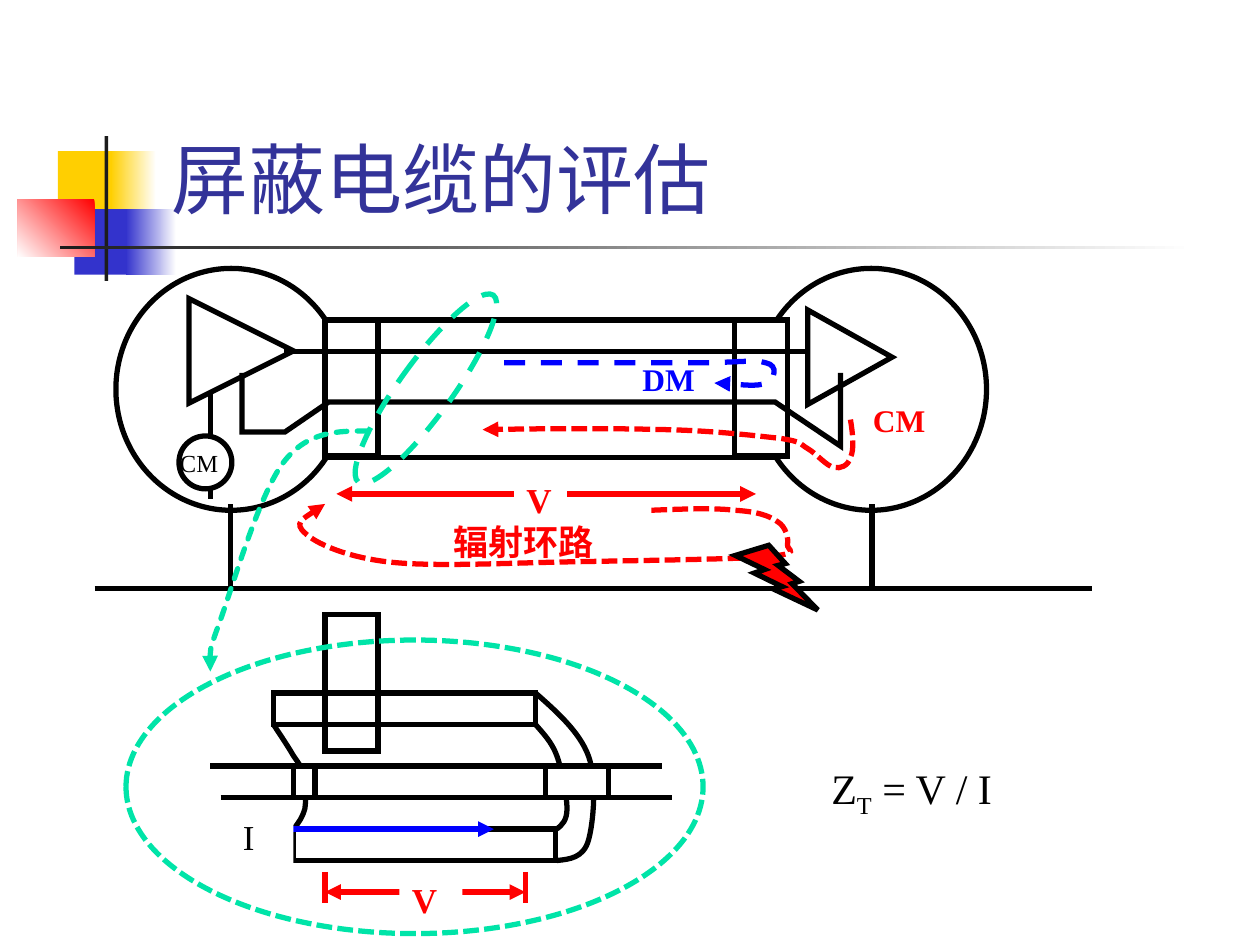
from lxml.etree import SubElement
from pptx import Presentation
from pptx.dml.color import RGBColor
from pptx.enum.dml import MSO_LINE
from pptx.enum.shapes import MSO_CONNECTOR, MSO_SHAPE
from pptx.enum.text import MSO_ANCHOR, MSO_AUTO_SIZE, PP_ALIGN
from pptx.oxml.ns import qn
from pptx.util import Inches, Pt

BLACK, WHITE, RED, BLUE, GREEN = "000000", "FFFFFF", "FF0000", "0000FF", "00E4A8"
YELLOW, NAVY, DARK = "FFCF01", "3333CC", "1C1C1C"
DASH, DOT = MSO_LINE.DASH, MSO_LINE.SQUARE_DOT
RECT, OVAL = MSO_SHAPE.RECTANGLE, MSO_SHAPE.OVAL


def rgb(code):
    return RGBColor.from_string(code)


def stroke(item, color, dash=None, ends=(), cap=None):
    """Draw a 3 pt mitred line; ends may hold "head" and "tail"."""
    line = item.line
    line.color.rgb = rgb(color)
    line.width = Pt(3)
    if dash:
        line.dash_style = dash
    ln = line._get_or_add_ln()
    if cap:
        ln.set("cap", cap)
    SubElement(ln, qn("a:miter"), lim="800000")
    for end in ends:
        SubElement(ln, qn(f"a:{end}End"), type="triangle")


def shape(slide, kind, box, fill=None, line=BLACK, dash=None, turn=0):
    item = slide.shapes.add_shape(kind, *map(Inches, box))
    item.shadow.inherit = False
    item.rotation = turn
    if fill:
        item.fill.solid()
        item.fill.fore_color.rgb = rgb(fill)
    else:
        item.fill.background()
    if line:
        stroke(item, line, dash)
    else:
        item.line.fill.background()
    return item


def fade(slide, box, first, last, angle):
    item = shape(slide, RECT, box, WHITE, None)
    item.fill.gradient()
    item.fill.gradient_angle = angle
    for stop, color in zip(item.fill.gradient_stops, (first, last)):
        stop.color.rgb = rgb(color)


def wire(slide, x1, y1, x2, y2, color=BLACK, ends=()):
    item = slide.shapes.add_connector(
        MSO_CONNECTOR.STRAIGHT, *map(Inches, (x1, y1, x2, y2)))
    stroke(item, color, ends=ends)
    SubElement(item._element.spPr, qn("a:effectLst"))


def path(slide, points, color=BLACK, dash=None, ends=(), curved=True, cap=None):
    """Draw an open path; if curved, each three points after the first form a Bezier."""
    start, *rest = [(Inches(x), Inches(y)) for x, y in points]
    draft = slide.shapes.build_freeform(*start)
    draft.add_line_segments(rest, close=False)
    item = draft.convert_to_shape()
    item.shadow.inherit = False
    item.fill.background()
    stroke(item, color, dash, ends, cap)
    if curved:
        route = item._element.find(".//" + qn("a:path"))
        steps = route.findall(qn("a:lnTo"))
        for i in range(0, len(steps), 3):
            curve = SubElement(route, qn("a:cubicBezTo"))
            for step in steps[i:i + 3]:
                curve.append(step[0])
                route.remove(step)


def label(slide, box, text, size, color=BLACK, bold=False, fill=None):
    item = slide.shapes.add_textbox(*map(Inches, box))
    if fill:
        item.fill.solid()
        item.fill.fore_color.rgb = rgb(fill)
    item.text_frame.word_wrap = True
    para = item.text_frame.paragraphs[0]
    para.text = text
    font = para.font
    font.name, font.size, font.bold = "Times New Roman", Pt(size), bold
    font.color.rgb = rgb(color)
    return para


def decor(slide):
    shape(slide, RECT, (0.46, 1.2, 0.48, 0.52), YELLOW, None)
    fade(slide, (0.88, 1.2, 0.36, 0.52), WHITE, YELLOW, 180)
    shape(slide, RECT, (0.59, 1.66, 0.46, 0.52), NAVY, None)
    fade(slide, (1, 1.66, 0.4, 0.52), WHITE, NAVY, 180)
    fade(slide, (0.14, 1.58, 0.61, 0.46), RED, WHITE, 225)
    shape(slide, RECT, (0.83, 1.08, 0.03, 1.15), DARK, None)
    fade(slide, (0.48, 1.95, 9, 0.03), WHITE, DARK, 180)


def heading(slide, text):
    title = slide.shapes.title
    title.left, title.top, title.width, title.height = map(
        Inches, (1.26, 0.58, 8.52, 1.25))
    frame = title.text_frame
    frame.text = text
    frame.auto_size = MSO_AUTO_SIZE.NONE
    frame.vertical_anchor = MSO_ANCHOR.BOTTOM
    para = frame.paragraphs[0]
    para.alignment = PP_ALIGN.LEFT
    para.font.name, para.font.size = "Cabin", Pt(44)
    para.font.color.rgb = rgb("333399")
    slide.shapes._spTree.append(title._element)  # in front of the decoration


def cable(slide):
    shape(slide, OVAL, (0.92, 2.13, 1.83, 1.92))
    shape(slide, MSO_SHAPE.ISOSCELES_TRIANGLE, (1.5, 2.37, 0.83, 0.83), turn=90)
    shape(slide, MSO_SHAPE.ISOSCELES_TRIANGLE, (6.37, 2.5, 0.75, 0.67), turn=90)
    shape(slide, RECT, (2.58, 2.54, 0.42, 1.08), WHITE)
    shape(slide, OVAL, (6, 2.13, 1.83, 1.92))
    shape(slide, RECT, (5.83, 2.54, 0.42, 1.08), WHITE)
    for y in (2.54, 3.63):
        wire(slide, 2.58, y, 6.17, y)
    wire(slide, 2.25, 2.79, 6.42, 2.79)
    path(slide, [(1.92, 2.96), (1.92, 3.43), (2.26, 3.43), (2.61, 3.19),
                 (6.15, 3.19), (6.67, 3.54), (6.67, 2.96)], curved=False)
    shape(slide, OVAL, (1.42, 3.46, 0.42, 0.42))
    path(slide, [(4, 2.88), (4.58, 2.88), (5.15, 2.88), (5.5, 2.88),
                 (5.85, 2.88), (5.99, 2.85), (6.08, 2.88),
                 (6.18, 2.9), (6.15, 3.01), (6.08, 3.04),
                 (6.01, 3.07), (5.74, 3.04), (5.67, 3.04)], BLUE, DASH, ["tail"])
    path(slide, [(6.75, 3.33), (6.77, 3.45), (6.78, 3.57), (6.75, 3.63),
                 (6.73, 3.7), (6.67, 3.72), (6.62, 3.71),
                 (6.56, 3.7), (6.48, 3.6), (6.41, 3.56),
                 (6.34, 3.52), (6.38, 3.51), (6.2, 3.48),
                 (6.01, 3.46), (5.69, 3.42), (5.29, 3.41),
                 (4.9, 3.4), (4.37, 3.4), (3.83, 3.41)], RED, DOT, ["tail"])
    wire(slide, 1.67, 3.13, 1.67, 3.46)
    wire(slide, 1.67, 3.88, 1.67, 3.96)
    label(slide, (1.33, 3.51, 0.67, 0.34), "CM", 14)
    label(slide, (6.83, 3.13, 0.67, 0.4), "CM", 18, RED, True)
    label(slide, (5, 2.81, 0.67, 0.4), "DM", 18, BLUE, True)


def loop(slide):
    shape(slide, RECT, (2.58, 4.88, 0.42, 1.08), WHITE)
    wire(slide, 0.75, 4.67, 8.67, 4.67)
    for x in (1.83, 6.92):
        wire(slide, x, 4, x, 4.67)
    wire(slide, 2.67, 3.92, 6, 3.92, RED, ["head", "tail"])
    label(slide, (4.08, 3.75, 0.42, 0.44), "V", 20, RED, True, WHITE)
    path(slide, [(5.17, 4.05), (5.42, 4.04), (5.67, 4.03), (5.83, 4.05),
                 (6, 4.06), (6.1, 4.09), (6.17, 4.14),
                 (6.24, 4.18), (6.26, 4.28), (6.25, 4.32),
                 (6.24, 4.37), (6.38, 4.39), (6.08, 4.42),
                 (5.79, 4.44), (5, 4.45), (4.5, 4.46),
                 (4, 4.47), (3.43, 4.5), (3.08, 4.46),
                 (2.74, 4.42), (2.5, 4.31), (2.42, 4.23),
                 (2.33, 4.15), (2.46, 4.08), (2.58, 4)], RED, DOT, ["tail"])
    label(slide, (3.5, 4.08, 1.67, 0.44), "辐射环路", 20, RED, True)
    shape(slide, MSO_SHAPE.LIGHTNING_BOLT, (5.83, 4.33, 0.67, 0.5), RED, turn=2)
    shape(slide, OVAL, (3.17, 2.17, 0.42, 1.83), None, GREEN, DASH, 35.8)


def detail(slide):
    shape(slide, RECT, (2.17, 5.5, 2.08, 0.25))
    shape(slide, RECT, (2.33, 6.58, 2.08, 0.25))
    path(slide, [(2.17, 5.75), (2.23, 5.84), (2.29, 5.93), (2.33, 6),
                 (2.38, 6.07), (2.4, 6.1), (2.42, 6.17),
                 (2.43, 6.24), (2.43, 6.35), (2.42, 6.42),
                 (2.4, 6.49), (2.37, 6.53), (2.33, 6.58)])
    path(slide, [(4.25, 5.75), (4.31, 5.82), (4.38, 5.89), (4.42, 6),
                 (4.46, 6.11), (4.5, 6.32), (4.5, 6.42),
                 (4.5, 6.51), (4.46, 6.55), (4.42, 6.58)])
    path(slide, [(4.25, 5.5), (4.42, 5.65), (4.6, 5.81), (4.67, 6),
                 (4.74, 6.19), (4.71, 6.53), (4.67, 6.67),
                 (4.63, 6.81), (4.52, 6.82), (4.42, 6.83)])
    shape(slide, RECT, (2.33, 6.08, 0.17, 0.25), WHITE)
    shape(slide, RECT, (4.33, 6.08, 0.5, 0.25), WHITE)
    wire(slide, 1.67, 6.08, 5.25, 6.08)
    wire(slide, 1.75, 6.33, 5.33, 6.33)
    wire(slide, 2.17, 6.58, 3.92, 6.58, BLUE, ["tail"])
    for x in (2.58, 4.17):
        wire(slide, x, 6.92, x, 7.17, RED)
    wire(slide, 2.58, 7.08, 4.17, 7.08, RED, ["head", "tail"])
    label(slide, (3.17, 6.92, 0.5, 0.44), "V", 20, RED, True, WHITE)
    label(slide, (1.83, 6.42, 0.5, 0.44), "I", 20, fill=WHITE)
    ratio = label(slide, (6.5, 6, 1.67, 0.56), "Z", 24)
    ratio.add_run().text = "T"
    ratio.runs[1]._r.get_or_add_rPr().set("baseline", "-25000")
    ratio.add_run().text = " = V / I"
    shape(slide, OVAL, (1, 5.08, 4.58, 2.33), None, GREEN, DOT)
    path(slide, [(2.92, 3.42), (2.68, 3.42), (2.44, 3.42), (2.25, 3.67),
                 (2.06, 3.92), (1.85, 4.64), (1.75, 4.92),
                 (1.65, 5.19), (1.66, 5.26), (1.67, 5.33)],
         GREEN, DOT, ["tail"], cap="rnd")


def main():
    deck = Presentation()
    deck.slide_width, deck.slide_height = Inches(10), Inches(7.5)
    slide = deck.slides.add_slide(deck.slide_layouts[5])
    decor(slide)
    heading(slide, "屏蔽电缆的评估")
    cable(slide)
    loop(slide)
    detail(slide)
    deck.save("out.pptx")


if __name__ == "__main__":
    main()
